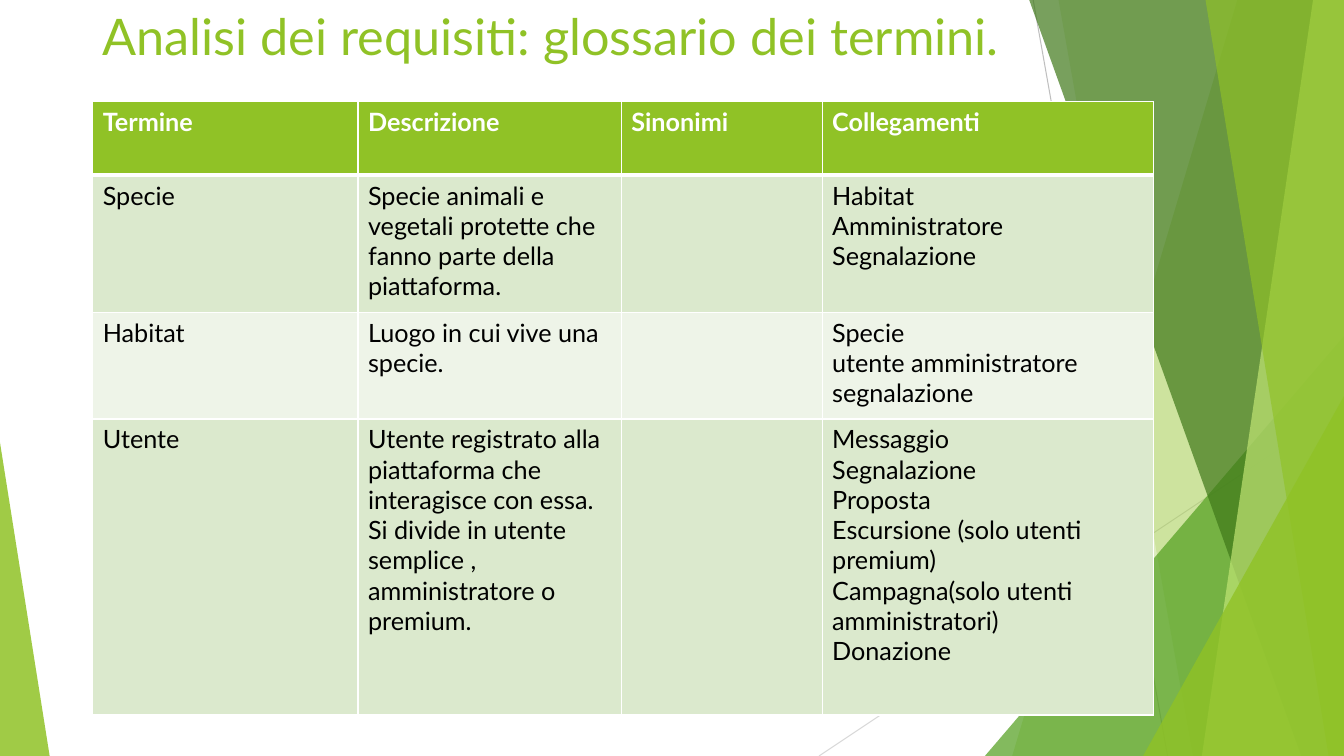
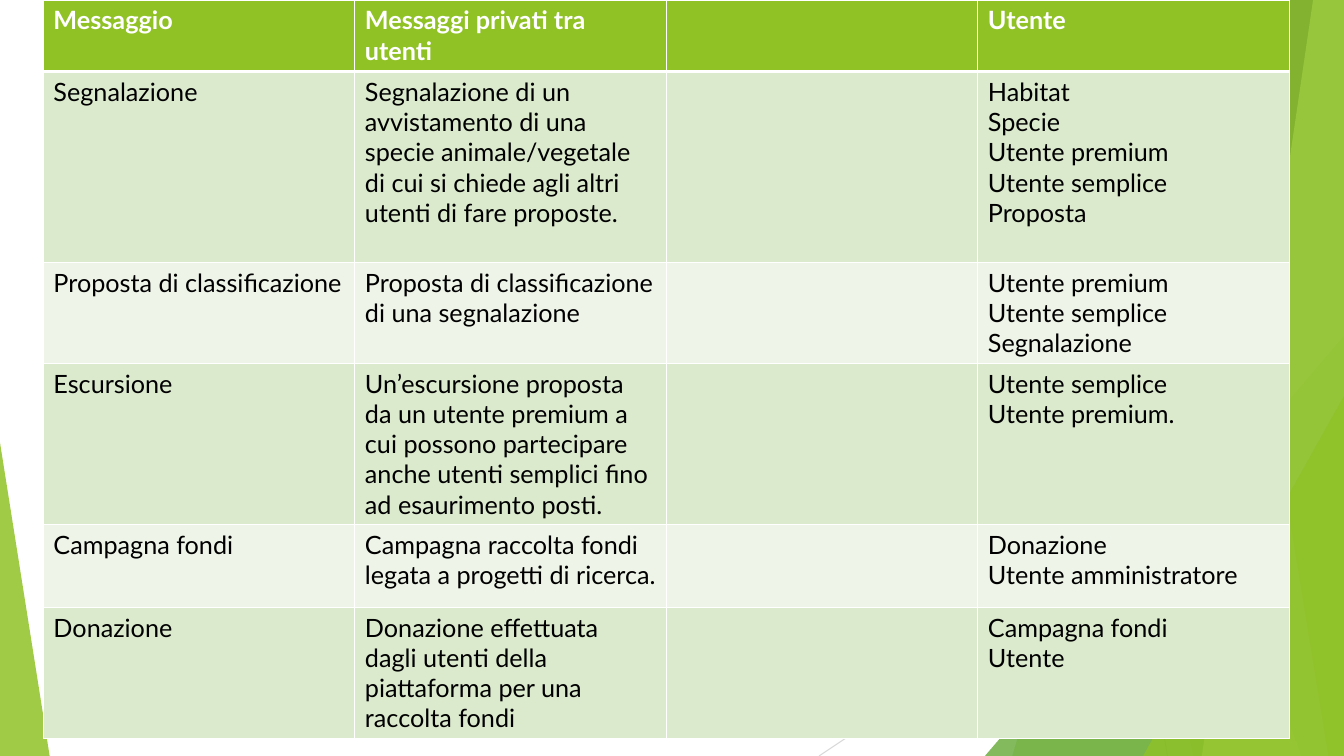
"""Build two glossary slides with a shared faceted green background."""
from dataclasses import dataclass

import lxml.etree
import pptx
import pptx.dml.color
import pptx.enum.shapes
import pptx.enum.text
import pptx.oxml.ns
import pptx.presentation
import pptx.shapes.base
import pptx.slide
import pptx.table
import pptx.util

Pt = pptx.util.Pt
qn = pptx.oxml.ns.qn

FONT = "Lato"
WIDTH, HEIGHT, BAND_TOP = 960, 540, -0.6
TITLE_ONLY, BLANK = 5, 6
COLORS = {
    "lime": "90C226",
    "green": "54A021",
    "forest": "3F7819",
    "pale": "C0E474",
    "row_dark": "DBE9CD",
    "row_light": "EEF4E8",
    "line_dark": "BFBFBF",
    "line_light": "D9D9D9",
    "white": "FFFFFF",
    "black": "000000",
}


@dataclass(frozen=True)
class Ray:
    """A thin line between two points."""
    x1: float
    y1: float
    x2: float
    y2: float
    color: str


@dataclass(frozen=True)
class Band:
    """A full-height facet reaching the right edge of the slide."""
    top_x: float
    bottom_x: float
    color: str
    opacity: int


@dataclass(frozen=True)
class Wedge:
    """A triangle standing on the bottom edge of the slide."""
    left: float
    top: float
    width: float
    apex: float
    color: str
    opacity: int


@dataclass(frozen=True)
class Glossary:
    """A table with its place, grid and rows of cell text."""
    left: float
    top: float
    columns: tuple[float, ...]
    heights: tuple[float, ...]
    rows: tuple[tuple[str, ...], ...]


DECORATIONS = (
    Ray(738, 0, 834, 540, "line_dark"),
    Ray(960, 290, 585, 540, "line_light"),
    Band(884, 723, "lime", 30),
    Band(756, 852, "lime", 20),
    Wedge(703.5, 240, 256.5, 1, "green", 72),
    Band(735, 929.5, "forest", 70),
    Band(938, 858.5, "pale", 70),
    Band(861, 949, "lime", 65),
    Wedge(816.5, 283, 143.5, 1, "lime", 80),
    Wedge(0, 316, 35.5, 0, "lime", 85),
)

TERMS = Glossary(66.25, 72.75, (189.5, 188, 143.5, 237), (52.5, 98, 76, 211.5), (
    ("Termine", "Descrizione", "Sinonimi", "Collegamenti"),
    ("Specie",
     "Specie animali e vegetali protette che fanno parte della piattaforma.",
     "", "Habitat\nAmministratore\nSegnalazione"),
    ("Habitat", "Luogo in cui vive una specie.",
     "", "Specie\nutente amministratore\nsegnalazione"),
    ("Utente",
     "Utente registrato alla piattaforma che interagisce con essa. "
     "Si divide in utente semplice , amministratore o premium.",
     "", "Messaggio\nSegnalazione\nProposta\nEscursione (solo utenti premium)\n"
     "Campagna(solo utenti amministratori)\nDonazione"),
))

MORE_TERMS = Glossary(31, 0, (222.5,) * 4, (51, 136.5, 72, 115, 59, 94), (
    ("Messaggio", "Messaggi privati tra utenti", "", "Utente"),
    ("Segnalazione",
     "Segnalazione di un avvistamento di una specie animale/vegetale "
     "di cui si chiede agli altri utenti di fare proposte.",
     "", "Habitat\nSpecie\nUtente premium\nUtente semplice\nProposta"),
    ("Proposta di classificazione",
     "Proposta di classificazione di una segnalazione",
     "", "Utente premium\nUtente semplice\nSegnalazione"),
    ("Escursione",
     "Un’escursione proposta da un utente premium a cui possono partecipare "
     "anche utenti semplici fino ad esaurimento posti.",
     "", "Utente semplice\nUtente premium."),
    ("Campagna fondi", "Campagna raccolta fondi legata a progetti di ricerca.",
     "", "Donazione\nUtente amministratore"),
    ("Donazione",
     "Donazione effettuata dagli utenti della piattaforma per una raccolta fondi",
     "", "Campagna fondi\nUtente"),
))


def rgb(name: str) -> pptx.dml.color.RGBColor:
    """Return the palette colour of that name."""
    return pptx.dml.color.RGBColor.from_string(COLORS[name])


def draw_ray(slide: pptx.slide.Slide, ray: Ray) -> pptx.shapes.base.BaseShape:
    """Draw a thin line without shadow."""
    line = slide.shapes.add_connector(
        pptx.enum.shapes.MSO_CONNECTOR.STRAIGHT,
        Pt(ray.x1), Pt(ray.y1), Pt(ray.x2), Pt(ray.y2))
    line.line.color.rgb = rgb(ray.color)
    line.line.width = Pt(0.75)
    lxml.etree.SubElement(line.element.spPr, qn("a:effectLst"))
    return line


def draw_facet(slide: pptx.slide.Slide, facet: Band | Wedge) -> pptx.shapes.base.BaseShape:
    """Draw a translucent band or wedge."""
    if isinstance(facet, Band):
        outline = slide.shapes.build_freeform(Pt(facet.top_x), Pt(BAND_TOP))
        corners = ((WIDTH, BAND_TOP), (WIDTH, HEIGHT), (facet.bottom_x, HEIGHT))
        outline.add_line_segments([(Pt(x), Pt(y)) for x, y in corners])
        shape = outline.convert_to_shape()
    else:
        shape = slide.shapes.add_shape(
            pptx.enum.shapes.MSO_SHAPE.ISOSCELES_TRIANGLE,
            Pt(facet.left), Pt(facet.top), Pt(facet.width), Pt(HEIGHT - facet.top))
        shape.adjustments[0] = facet.apex
    shape.shadow.inherit = False
    shape.fill.solid()
    shape.fill.fore_color.rgb = rgb(facet.color)
    shape.line.fill.background()
    color = shape.element.spPr.find(qn("a:solidFill"))[0]
    lxml.etree.SubElement(color, qn("a:alpha"), val=str(facet.opacity * 1000))
    return shape


def decorate_master(deck: pptx.presentation.Presentation, slide: pptx.slide.Slide) -> None:
    """Draw the background facets and move them to the slide master."""
    for number, item in enumerate(DECORATIONS, start=101):
        draw = draw_ray if isinstance(item, Ray) else draw_facet
        shape = draw(slide, item)
        shape.element.xpath(".//p:cNvPr")[0].set("id", str(number))
        deck.slide_master.shapes.element.append(shape.element)


def add_span(para, text: str, size: float, color: str, bold: bool = False) -> None:
    """Add one formatted run to a paragraph."""
    span = para.add_run()
    span.text = text
    span.font.name = FONT
    span.font.size = Pt(size)
    span.font.bold = bold
    span.font.color.rgb = rgb(color)


def set_title(slide: pptx.slide.Slide, text: str) -> None:
    """Place and format the title placeholder."""
    title = slide.shapes.title
    title.left, title.top = Pt(66.25), Pt(0)
    title.width, title.height = Pt(828), Pt(72.75)
    box = title.text_frame
    box.word_wrap = True
    box.auto_size = pptx.enum.text.MSO_AUTO_SIZE.NONE
    box.vertical_anchor = pptx.enum.text.MSO_ANCHOR.TOP
    para = box.paragraphs[0]
    para.alignment = pptx.enum.text.PP_ALIGN.LEFT
    add_span(para, text, 36, "lime")


def set_borders(cell: pptx.table._Cell, row: int) -> None:
    """Give a cell white borders, heavier below the header."""
    properties = cell._tc.get_or_add_tcPr()
    heavy = {0: "lnB", 1: "lnT"}.get(row)
    for side in ("lnL", "lnR", "lnT", "lnB"):
        width = Pt(3 if side == heavy else 1)
        line = lxml.etree.SubElement(properties, qn(f"a:{side}"), w=str(width))
        fill = lxml.etree.SubElement(line, qn("a:solidFill"))
        lxml.etree.SubElement(fill, qn("a:srgbClr"), val=COLORS["white"])


def fill_cell(cell: pptx.table._Cell, row: int, text: str) -> None:
    """Style a cell for its row and write one paragraph per line."""
    header = row == 0
    set_borders(cell, row)
    cell.fill.solid()
    cell.fill.fore_color.rgb = rgb(
        "lime" if header else "row_dark" if row % 2 else "row_light")
    box = cell.text_frame
    for index, line in enumerate(text.splitlines()):
        para = box.add_paragraph() if index else box.paragraphs[0]
        add_span(para, line, 18, "white" if header else "black", header)


def draw_glossary(slide: pptx.slide.Slide, glossary: Glossary) -> None:
    """Draw a glossary table."""
    table = slide.shapes.add_table(
        len(glossary.rows), len(glossary.columns),
        Pt(glossary.left), Pt(glossary.top),
        Pt(sum(glossary.columns)), Pt(sum(glossary.heights))).table
    for column, width in zip(table.columns, glossary.columns):
        column.width = Pt(width)
    for row, height in zip(table.rows, glossary.heights):
        row.height = Pt(height)
    for row_index, texts in enumerate(glossary.rows):
        for column_index, text in enumerate(texts):
            fill_cell(table.cell(row_index, column_index), row_index, text)


def main() -> None:
    """Build and save the deck."""
    deck = pptx.Presentation()
    deck.slide_width, deck.slide_height = Pt(WIDTH), Pt(HEIGHT)
    first_page = deck.slides.add_slide(deck.slide_layouts[TITLE_ONLY])
    decorate_master(deck, first_page)
    set_title(first_page, "Analisi dei requisiti: glossario dei termini.")
    draw_glossary(first_page, TERMS)
    second_page = deck.slides.add_slide(deck.slide_layouts[BLANK])
    draw_glossary(second_page, MORE_TERMS)
    deck.save("out.pptx")


if __name__ == "__main__":
    main()
